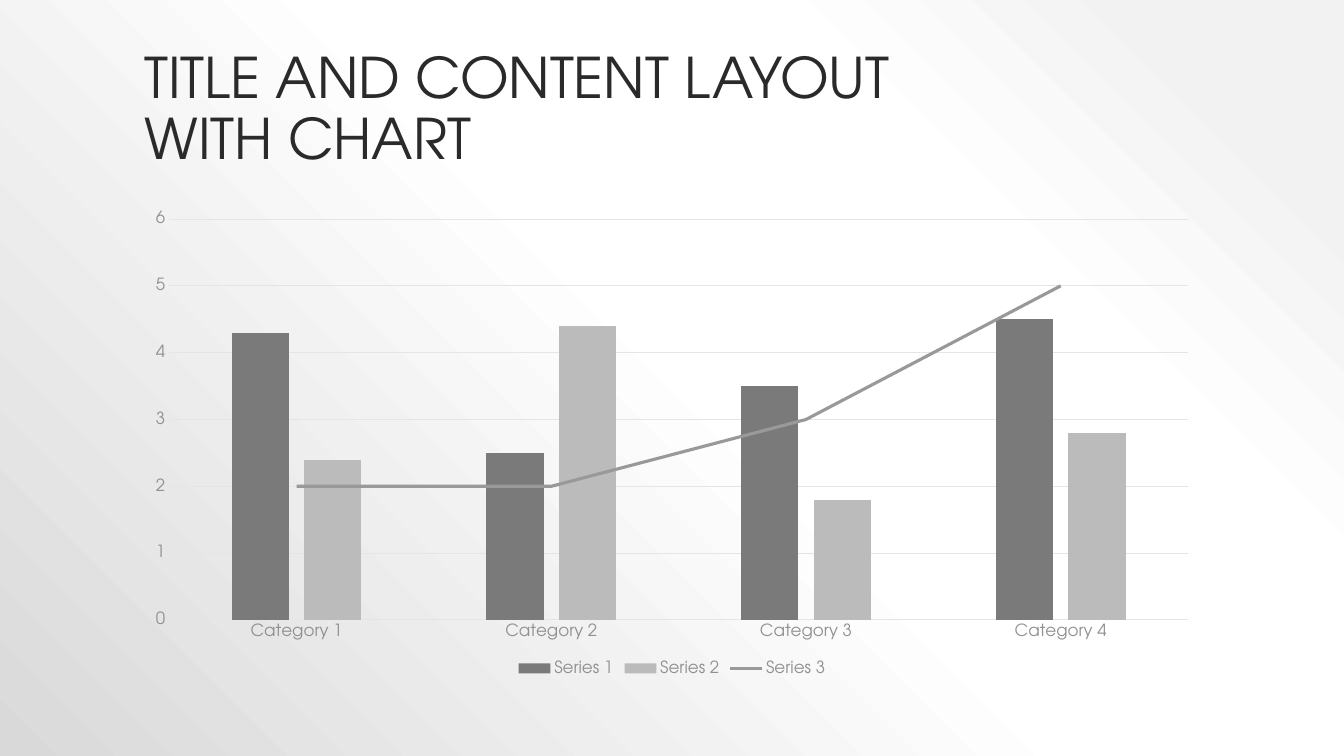
import pptx
import pptx.chart.data
import pptx.dml.color
import pptx.enum.chart
import pptx.enum.text
import pptx.oxml
import pptx.oxml.ns
import pptx.util
from lxml import etree

Pt = pptx.util.Pt
qn = pptx.oxml.ns.qn
FONT = "TeX Gyre Adventor"
LEFT, WIDTH = 96, 768
BACKDROP = [(10, "F2F2F2"), (28, "FFFFFF"), (48, "FFFFFF"), (100, "D9D9D9")]
CATEGORIES = ["Category 1", "Category 2", "Category 3", "Category 4"]
SERIES = [
    ("Series 1", (4.3, 2.5, 3.5, 4.5), "7A7A7A"),
    ("Series 2", (2.4, 4.4, 1.8, 2.8), "BBBBBB"),
    ("Series 3", (2, 2, 3, 5), "999999"),
]


def rgb(value):
    return pptx.dml.color.RGBColor.from_string(value)


def style_font(font, size, color):
    font.name = FONT
    font.size = Pt(size)
    font.bold = False
    font.color.rgb = rgb(color)


def style_line(line, color, width):
    line.color.rgb = rgb(color)
    line.width = Pt(width)


def set_backdrop(slide, stops):
    fill = slide.background.fill
    fill.solid()
    fill.fore_color.rgb = rgb("FFFFFF")
    solid = slide.element.find(".//" + qn("p:bgPr")).find(qn("a:solidFill"))
    stop_xml = "".join(
        f'<a:gs pos="{position * 1000}"><a:srgbClr val="{color}"/></a:gs>'
        for position, color in stops
    )
    gradient = pptx.oxml.parse_xml(
        f'<a:gradFill {pptx.oxml.ns.nsdecls("a")} rotWithShape="1">'
        f'<a:gsLst>{stop_xml}</a:gsLst><a:path path="circle">'
        '<a:fillToRect l="100000" b="100000"/></a:path></a:gradFill>'
    )
    solid.getparent().replace(solid, gradient)


def add_title(slide, text):
    title = slide.shapes.add_textbox(Pt(LEFT), Pt(21.6), Pt(WIDTH), Pt(104.4))
    frame = title.text_frame
    frame.word_wrap = True
    frame.vertical_anchor = pptx.enum.text.MSO_ANCHOR.BOTTOM
    frame.text = text
    paragraph = frame.paragraphs[0]
    paragraph.line_spacing = 0.9
    for run in paragraph.runs:
        style_font(run.font, 40, "2A2A2A")


def style_axis(axis):
    axis.major_tick_mark = pptx.enum.chart.XL_TICK_MARK.NONE
    axis.minor_tick_mark = pptx.enum.chart.XL_TICK_MARK.NONE
    style_font(axis.tick_labels.font, 12, "909090")


def turn_last_column_into_line(chart_space):
    bars = chart_space.find(".//" + qn("c:barChart"))
    trend = bars.findall(qn("c:ser"))[-1]
    line_chart = etree.Element(qn("c:lineChart"))
    etree.SubElement(line_chart, qn("c:grouping")).set("val", "standard")
    etree.SubElement(line_chart, qn("c:varyColors")).set("val", "0")
    for bar_setting in trend.findall(qn("c:invertIfNegative")):
        trend.remove(bar_setting)
    line_chart.append(trend)
    marker = etree.Element(qn("c:marker"))
    etree.SubElement(marker, qn("c:symbol")).set("val", "none")
    trend.find(qn("c:spPr")).addnext(marker)
    etree.SubElement(trend, qn("c:smooth")).set("val", "0")
    etree.SubElement(line_chart, qn("c:marker")).set("val", "1")
    for axis_id in bars.findall(qn("c:axId")):
        etree.SubElement(line_chart, qn("c:axId")).set("val", axis_id.get("val"))
    bars.addnext(line_chart)


def add_combined_chart(slide):
    data = pptx.chart.data.CategoryChartData()
    data.categories = CATEGORIES
    for name, values, _ in SERIES:
        data.add_series(name, values)
    chart = slide.shapes.add_chart(
        pptx.enum.chart.XL_CHART_TYPE.COLUMN_CLUSTERED,
        Pt(LEFT), Pt(144), Pt(WIDTH), Pt(342), data,
    ).chart
    style_font(chart.font, 10, "545454")
    chart.has_title = False
    chart.has_legend = True
    chart.legend.position = pptx.enum.chart.XL_LEGEND_POSITION.BOTTOM
    chart.legend.include_in_layout = False
    style_font(chart.legend.font, 12, "909090")

    style_axis(chart.category_axis)
    style_line(chart.category_axis.format.line, "E5E5E5", 0.75)
    values_axis = chart.value_axis
    style_axis(values_axis)
    values_axis.minimum_scale, values_axis.maximum_scale = 0, 6
    values_axis.major_unit = 1
    values_axis.format.line.fill.background()
    style_line(values_axis.major_gridlines.format.line, "E5E5E5", 0.75)

    plot = chart.plots[0]
    plot.vary_by_categories = False
    plot.gap_width = 219
    plot.overlap = -27
    *columns, trend = plot.series
    for column, (_, _, color) in zip(columns, SERIES):
        column.format.fill.solid()
        column.format.fill.fore_color.rgb = rgb(color)
    style_line(trend.format.line, SERIES[-1][2], 2.25)
    turn_last_column_into_line(chart.element)


def main():
    deck = pptx.Presentation()
    deck.slide_width, deck.slide_height = Pt(960), Pt(540)
    slide = deck.slides.add_slide(deck.slide_layouts[6])
    set_backdrop(slide, BACKDROP)
    add_title(slide, "TITLE AND CONTENT LAYOUT\vWITH CHART")
    add_combined_chart(slide)
    deck.save("out.pptx")


if __name__ == "__main__":
    main()
